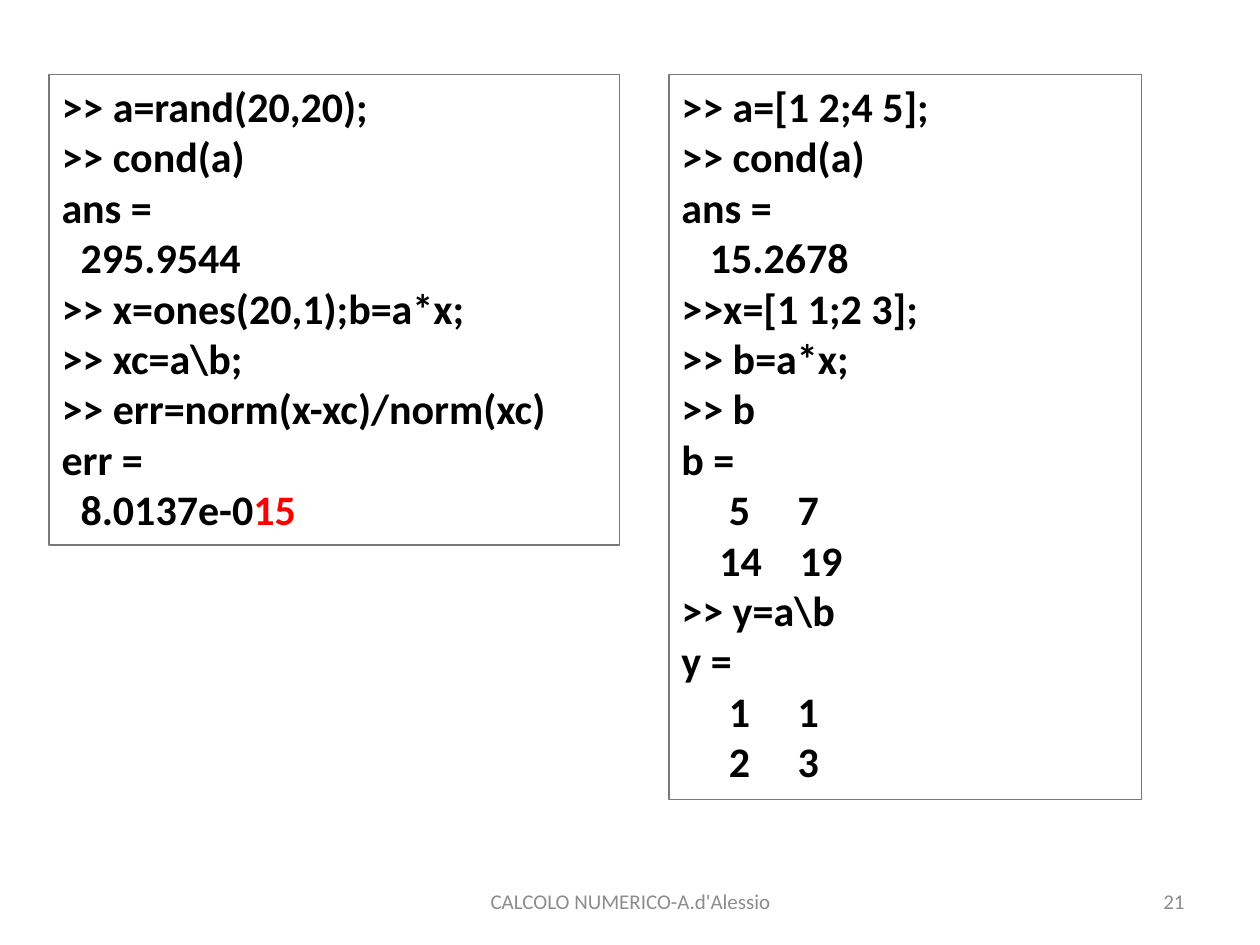
from dataclasses import dataclass

from pptx import Presentation
from pptx.dml.color import RGBColor
from pptx.enum.shapes import MSO_SHAPE
from pptx.enum.text import MSO_ANCHOR, MSO_AUTO_SIZE, PP_ALIGN
from pptx.util import Inches, Pt


@dataclass(frozen=True)
class Theme:
    font: str = "Calibri"
    code_size: float = 24
    footer_size: float = 12
    line_width: float = 0.75
    code: RGBColor = RGBColor(0x00, 0x00, 0x00)
    highlight: RGBColor = RGBColor(0xFF, 0x00, 0x00)
    border: RGBColor = RGBColor(0x79, 0x79, 0x79)
    footer: RGBColor = RGBColor(0x8C, 0x8C, 0x8C)


THEME = Theme()
WIDTH, HEIGHT = Inches(10), Inches(7.5)

# Panel geometry: shares of the slide's size; height follows the line count
PANEL_TOP = 0.59 / 7.5
LINE_HEIGHT = 0.404 / 7.5
PANEL_PADDING = 0.1 / 7.5
FOOTER_TOP, FOOTER_HEIGHT = 6.95 / 7.5, 0.4 / 7.5

# Each line is a string, or a pair of plain and highlighted text
RANDOM_SYSTEM = [
    ">> a=rand(20,20);",
    ">> cond(a)",
    "ans =",
    "  295.9544",
    ">> x=ones(20,1);b=a*x;",
    ">> xc=a\\b;",
    ">> err=norm(x-xc)/norm(xc)",
    "err =",
    ("  8.0137e-0", "15"),
]
SMALL_SYSTEM = [
    ">> a=[1 2;4 5];",
    ">> cond(a)",
    "ans =",
    "   15.2678",
    ">>x=[1 1;2 3];",
    ">> b=a*x;",
    ">> b",
    "b =",
    "     5     7",
    "    14    19",
    ">> y=a\\b",
    "y =",
    "     1     1",
    "     2     3",
]


def set_format(target, values):
    for name, value in values.items():
        setattr(target, name, value)


def place(left, top, width, height):
    """Turn shares of the slide's size into lengths."""
    return (int(left * WIDTH), int(top * HEIGHT),
            int(width * WIDTH), int(height * HEIGHT))


def add_run(paragraph, text, size, color, bold=False):
    run = paragraph.add_run()
    run.text = text
    set_format(run.font, {"name": THEME.font, "size": Pt(size), "bold": bold})
    run.font.color.rgb = color


def add_code_panel(slide, left, width, lines):
    height = len(lines) * LINE_HEIGHT + PANEL_PADDING
    panel = slide.shapes.add_shape(
        MSO_SHAPE.RECTANGLE, *place(left, PANEL_TOP, width, height))
    panel.shadow.inherit = False
    panel.fill.background()
    panel.line.color.rgb = THEME.border
    panel.line.width = Pt(THEME.line_width)

    frame = panel.text_frame
    set_format(frame, {"word_wrap": True,
                       "auto_size": MSO_AUTO_SIZE.SHAPE_TO_FIT_TEXT,
                       "vertical_anchor": MSO_ANCHOR.TOP})
    for index, line in enumerate(lines):
        paragraph = frame.add_paragraph() if index else frame.paragraphs[0]
        paragraph.alignment = PP_ALIGN.LEFT
        parts = (line,) if isinstance(line, str) else line
        for text, color in zip(parts, (THEME.code, THEME.highlight)):
            add_run(paragraph, text, THEME.code_size, color, bold=True)


def add_footer_text(slide, left, width, text, alignment):
    box = slide.shapes.add_textbox(
        *place(left, FOOTER_TOP, width, FOOTER_HEIGHT))
    set_format(box.text_frame, {"word_wrap": True,
                                "vertical_anchor": MSO_ANCHOR.MIDDLE})
    paragraph = box.text_frame.paragraphs[0]
    paragraph.alignment = alignment
    add_run(paragraph, text, THEME.footer_size, THEME.footer)


def main():
    presentation = Presentation()
    set_format(presentation, {"slide_width": WIDTH, "slide_height": HEIGHT})
    slide = presentation.slides.add_slide(presentation.slide_layouts[6])

    # Footer: course name and slide number
    add_footer_text(slide, 0.342, 0.317, "CALCOLO NUMERICO-A.d'Alessio",
                    PP_ALIGN.CENTER)
    add_footer_text(slide, 0.717, 0.233, "21", PP_ALIGN.RIGHT)

    # Two command sessions side by side
    add_code_panel(slide, 0.039, 0.453, RANDOM_SYSTEM)
    add_code_panel(slide, 0.531, 0.375, SMALL_SYSTEM)

    presentation.save("out.pptx")


if __name__ == "__main__":
    main()
